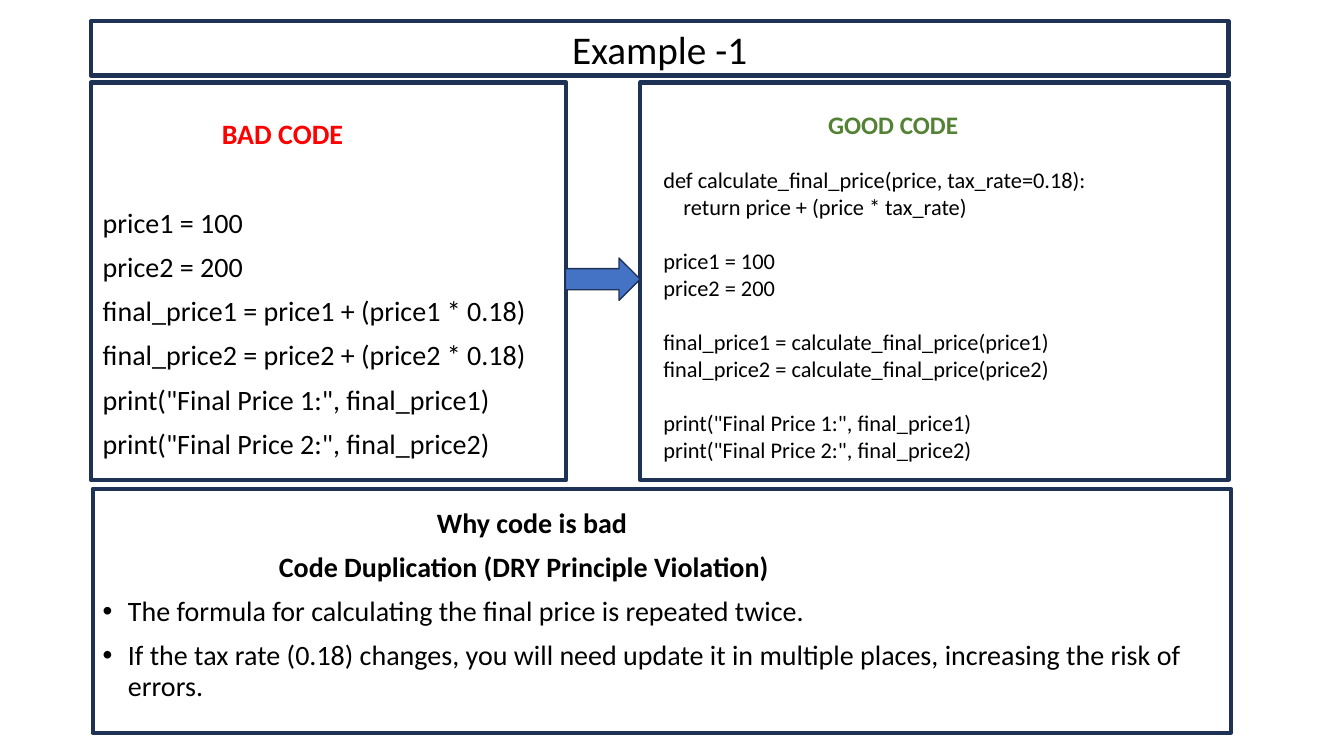
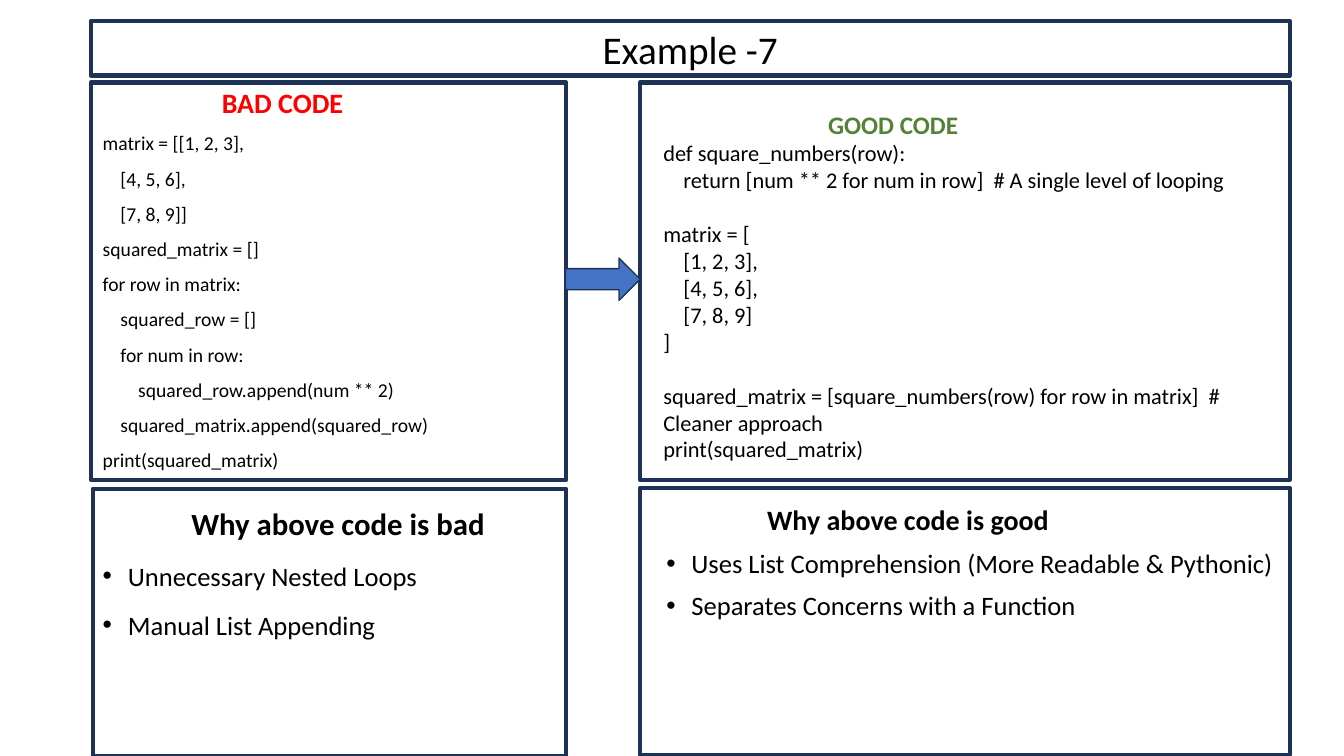
from dataclasses import dataclass

from lxml import etree
from pptx import Presentation
from pptx.dml.color import RGBColor
from pptx.enum.shapes import MSO_SHAPE
from pptx.enum.text import MSO_ANCHOR, MSO_AUTO_SIZE, PP_ALIGN
from pptx.oxml.ns import qn
from pptx.util import Pt

RECT, ARROW = MSO_SHAPE.RECTANGLE, MSO_SHAPE.RIGHT_ARROW
TOP, MIDDLE = MSO_ANCHOR.TOP, MSO_ANCHOR.MIDDLE
LEFT, CENTER = PP_ALIGN.LEFT, PP_ALIGN.CENTER
FIXED = MSO_AUTO_SIZE.NONE
COMPARE = 4  # layout with a title and four bodies


@dataclass(frozen=True)
class Theme:
    font: str = "Calibri"
    ink: str = "000000"
    edge: str = "1E3256"
    arrow: str = "4472C4"
    bad: str = "FF0000"
    good: str = "548235"
    title: int = 28
    head: int = 20
    subhead: int = 18
    code: int = 16


THEME = Theme()
COL_1, COL_2 = 64.8, 457.2
COL_W = 339.8
CODE_Y, CODE_H = 59, 283.7
WHY_X, WHY_Y = 66.2, 349.2

BAD_1 = """
price1 = 100
price2 = 200
final_price1 = price1 + (price1 * 0.18)
final_price2 = price2 + (price2 * 0.18)
print("Final Price 1:", final_price1)
print("Final Price 2:", final_price2)"""

GOOD_1 = """
def calculate_final_price(price, tax_rate=0.18):
    return price + (price * tax_rate)

price1 = 100
price2 = 200

final_price1 = calculate_final_price(price1)
final_price2 = calculate_final_price(price2)

print("Final Price 1:", final_price1)
print("Final Price 2:", final_price2)"""

BAD_7 = """matrix = [[1, 2, 3],
    [4, 5, 6],
    [7, 8, 9]]
squared_matrix = []
for row in matrix:
    squared_row = []
    for num in row:
        squared_row.append(num ** 2)
    squared_matrix.append(squared_row)
print(squared_matrix)"""

GOOD_7 = """def square_numbers(row):
    return [num ** 2 for num in row]  # A single level of looping

matrix = [
    [1, 2, 3],
    [4, 5, 6],
    [7, 8, 9]
]

squared_matrix = [square_numbers(row) for row in matrix]  # Cleaner approach
print(squared_matrix)"""


def place(shape, x, y, w, h):
    shape.left, shape.top, shape.width, shape.height = map(Pt, (x, y, w, h))


def write(frame, text, size=THEME.head, color=THEME.ink, bold=False,
          align=LEFT, indent=0, bullet=False, before=0, line=1.0):
    """Fill the first empty paragraph of the frame, or add one."""
    first = not frame.text
    par = frame.paragraphs[0] if first else frame.add_paragraph()
    props = par._p.get_or_add_pPr()
    props.set("marL", str(Pt(18 if bullet else indent)))
    props.set("indent", str(Pt(-18 if bullet else 0)))
    if bullet:
        font = etree.SubElement(props, qn("a:buFont"))
        font.set("typeface", "Arial")
        etree.SubElement(props, qn("a:buChar")).set("char", "•")
    else:
        etree.SubElement(props, qn("a:buNone"))
    par.alignment = align
    par.line_spacing = line
    par.space_before = Pt(0 if first else before)
    par.space_after = Pt(0)
    run = par.add_run()
    run.text = text
    run.font.name = THEME.font
    run.font.size = Pt(size)
    run.font.bold = bold
    run.font.color.rgb = RGBColor.from_string(color)


def stroke(shape, width):
    shape.line.color.rgb = RGBColor.from_string(THEME.edge)
    shape.line.width = Pt(width)


def box(slide, x, y, w, h, kind=RECT, fill=None, width=3):
    shape = slide.shapes.add_shape(kind, *map(Pt, (x, y, w, h)))
    shape.shadow.inherit = False
    stroke(shape, width)
    if fill:
        shape.fill.solid()
        shape.fill.fore_color.rgb = RGBColor.from_string(fill)
    else:
        shape.fill.background()


def body(slide, idx, area, anchor=TOP):
    """Move a placeholder and return its text frame."""
    holder = slide.placeholders[idx]
    place(holder, *area)
    frame = holder.text_frame
    frame.word_wrap = True
    frame.auto_size = FIXED
    frame.vertical_anchor = anchor
    return frame


def listing(frame, code, gap, before=0, **form):
    """Write code lines; an empty line becomes extra space."""
    extra = 0
    for text in code.split("\n"):
        if text:
            write(frame, text, before=before + extra, **form)
            extra = 0
        else:
            extra = gap


def points(frame, items, **form):
    for text in items:
        write(frame, text, bullet=True, before=10, **form)


def example(deck, title, right, bad, good, bad_y, bad_size):
    """Add a slide with the title, both code panels and the arrow."""
    slide = deck.slides.add_slide(deck.slide_layouts[COMPARE])
    frame = body(slide, 0, (COL_1, 15.1, right - COL_1, 38.9), MIDDLE)
    stroke(slide.shapes.title, 3)
    write(frame, title, size=THEME.title, align=CENTER)

    frame = body(slide, 1, (66.2, bad_y, 338.4, 342 - bad_y))
    write(frame, "BAD CODE", color=THEME.bad, bold=True, indent=85, line=0.9)
    listing(frame, bad, 32, before=10, size=bad_size, line=0.9)

    frame = body(slide, 2, (466.6, 74.2, right - 466.6, 262))
    write(frame, "GOOD CODE", size=THEME.subhead, color=THEME.good,
          bold=True, indent=117.7)
    listing(frame, good, 19.5, size=THEME.code)

    box(slide, COL_1, CODE_Y, COL_W, CODE_H)
    box(slide, COL_2, CODE_Y, right - COL_2, CODE_H)
    box(slide, 404, 184.3, 53.3, 30.2, ARROW, THEME.arrow, 1)
    return slide


def main():
    deck = Presentation()
    deck.slide_width, deck.slide_height = Pt(960), Pt(540)

    slide = example(deck, "Example -1", 877.5, BAD_1, GOOD_1, 82, THEME.head)
    box(slide, WHY_X, WHY_Y, 813, 174.2)
    frame = body(slide, 3, (WHY_X, 360, 800.6, 151))
    write(frame, "Why code is bad", bold=True, indent=238.7, line=0.9)
    write(frame, "Code Duplication (DRY Principle Violation)", bold=True,
          indent=125.8, before=10, line=0.9)
    points(frame, (
        "The formula for calculating the final price is repeated twice.",
        "If the tax rate (0.18) changes, you will need update it in multiple "
        "places, increasing the risk of errors."), line=0.9)
    spare = slide.placeholders[4].element
    spare.getparent().remove(spare)

    slide = example(deck, "Example -7", 921.2, BAD_7, GOOD_7, 60.5, 14)
    box(slide, WHY_X, WHY_Y, 338.4, 190.8)
    box(slide, COL_2, 348.5, 464, 190.8)
    frame = body(slide, 3, (WHY_X, 360, 331.2, 180))
    write(frame, "Why above code is bad", size=22, bold=True, indent=63.3,
          line=0.9)
    points(frame, ("Unnecessary Nested Loops", "Manual List Appending"),
           size=19, line=1.1)
    frame = body(slide, 4, (468.7, 357.8, 452.2, 180))
    write(frame, "Why above code is good", bold=True, indent=72, line=0.9)
    points(frame, ("Uses List Comprehension (More Readable & Pythonic)",
                   "Separates Concerns with a Function"), size=19, line=0.9)

    deck.save("out.pptx")


if __name__ == "__main__":
    main()
